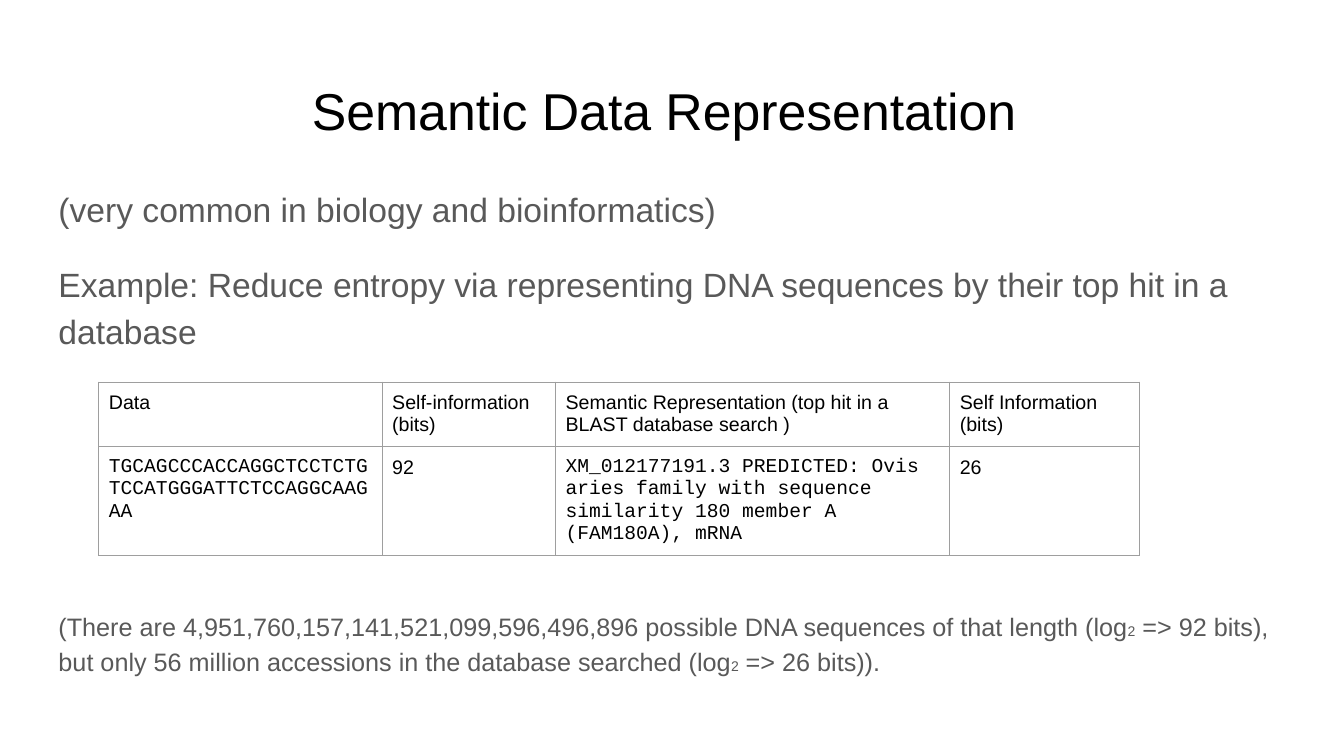
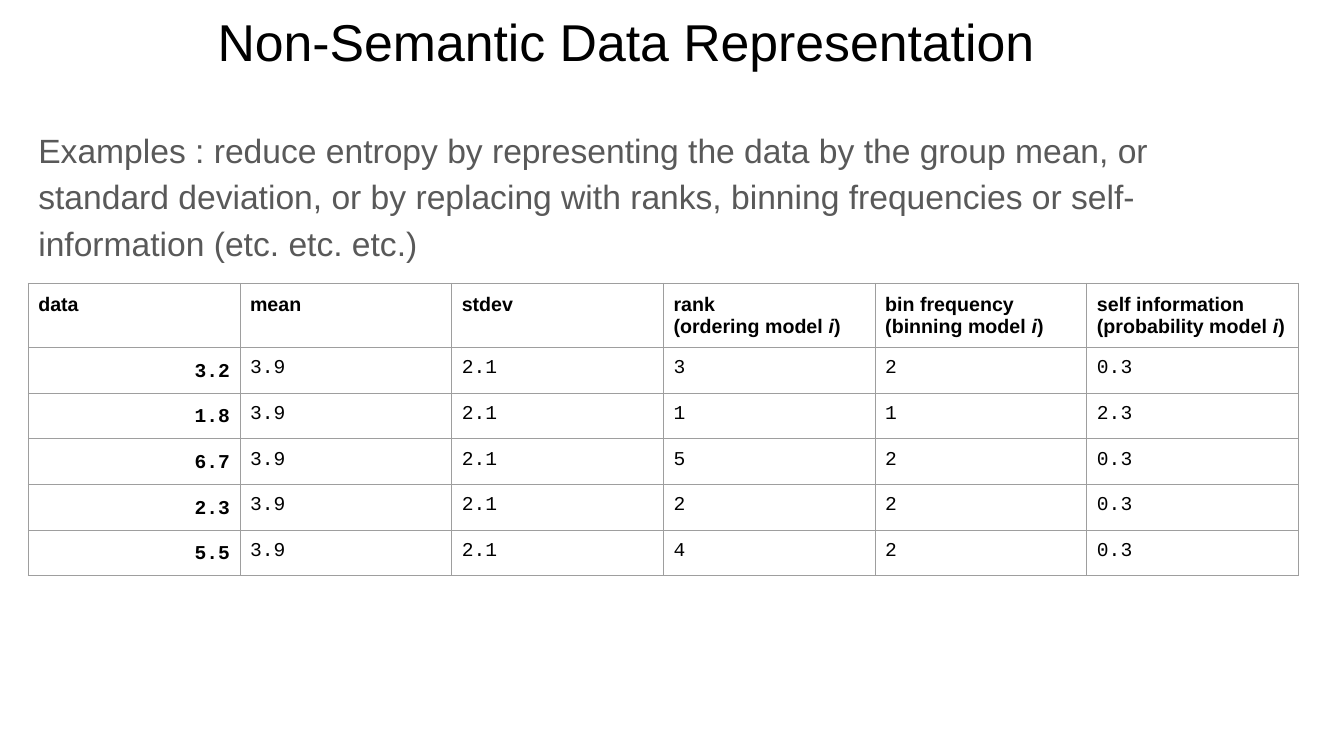
"""Build two slides on semantic and non-semantic data representation."""
from dataclasses import dataclass

from lxml import etree
from pptx import Presentation
from pptx.dml.color import RGBColor
from pptx.enum import text
from pptx.oxml import ns
from pptx.util import Inches, Pt


@dataclass(frozen=True)
class Theme:
    ink: RGBColor = RGBColor(0x00, 0x00, 0x00)
    muted: RGBColor = RGBColor(0x59, 0x59, 0x59)
    rule: str = "9E9E9E"
    sans: str = "Arial"
    mono: str = "Courier New"
    title: Pt = Pt(37)
    body: Pt = Pt(24)
    note: Pt = Pt(18)
    cell: Pt = Pt(14)
    subscript: Pt = Pt(10)


theme = Theme()
LEFT, CENTER, RIGHT = (text.PP_ALIGN.LEFT, text.PP_ALIGN.CENTER, text.PP_ALIGN.RIGHT)
title_font = {"size": theme.title, "name": theme.sans, "bold": False}
body_font = {"size": theme.body, "name": theme.sans}
cell_font = {"size": theme.cell, "name": theme.sans, "bold": False}
mono_font = cell_font | {"name": theme.mono}
bold_font = cell_font | {"bold": True}
italic = {"italic": True}
small = {"size": theme.subscript}
note = {"size": theme.note}


def write(frame, paragraphs, font, color, margin=0.1):
    """Write (runs, paragraph format) pairs, each run being (words, font changes)."""
    frame.word_wrap = True
    for side in ("left", "top", "right", "bottom"):
        setattr(frame, f"margin_{side}", Inches(margin))
    for index, (runs, layout) in enumerate(paragraphs):
        paragraph = frame.add_paragraph() if index else frame.paragraphs[0]
        props = paragraph._p.get_or_add_pPr()
        props.set("marL", "0")
        props.set("indent", "0")
        settings = {"alignment": LEFT, "space_before": Pt(0), "space_after": Pt(0)} | layout
        for key, value in settings.items():
            setattr(paragraph, key, value)
        etree.SubElement(props, ns.qn("a:buNone"))
        for words, changes in runs:
            run = paragraph.add_run()
            run.text = words
            for key, value in (font | changes).items():
                setattr(run.font, key, value)
            run.font.color.rgb = color


def add_grid(slide, left, top, widths, heights, rows):
    """Add a ruled table whose cells are (lines of runs, font, paragraph format)."""
    grid = slide.shapes.add_table(
        len(heights), len(widths), Inches(left), Inches(top),
        Inches(sum(widths)), Inches(sum(heights))).table
    grid.first_row = grid.horz_banding = False
    for column, width in zip(grid.columns, widths):
        column.width = Inches(width)
    for row, height, contents in zip(grid.rows, heights, rows):
        row.height = Inches(height)
        for cell, (lines, font, layout) in zip(row.cells, contents):
            write(cell.text_frame, [(runs, layout) for runs in lines], font, theme.ink)
            for side in ("left", "top", "right", "bottom"):
                setattr(cell, f"margin_{side}", Inches(0.1))
            props = cell._tc.get_or_add_tcPr()
            for edge in ("lnL", "lnR", "lnT", "lnB"):
                line = etree.SubElement(props, ns.qn(f"a:{edge}"), w=str(Pt(0.75)))
                paint = etree.SubElement(line, ns.qn("a:solidFill"))
                etree.SubElement(paint, ns.qn("a:srgbClr"), val=theme.rule)
            cell.fill.background()


deck = Presentation()
deck.slide_width, deck.slide_height = Inches(13.33), Inches(7.5)

spaced = {"line_spacing": 1.15}
pages = [
    {"margin": 0.13,
     "title": ("Semantic Data Representation ", (0.45, 0.65, 12.42, 0.83)),
     "body_box": (0.45, 1.68, 12.42, 5.32),
     "body": [
         ([("(very common in biology and bioinformatics)", {})], spaced),
         ([("Example: Reduce entropy via representing DNA sequences by their "
            "top hit in a database", {})], spaced | {"space_before": Pt(21)}),
         ([("(There are 4,951,760,157,141,521,099,596,496,896 possible DNA "
            "sequences of that length (log", note), ("2", small),
           (" => 92 bits), but only 56 million accessions in the database "
            "searched (log", note), ("2", small), (" => 26 bits)).", note)],
          spaced | {"space_before": Pt(183), "space_after": Pt(21)})]},
    {"margin": 0.1,
     "title": ("Non-Semantic Data Representation", (0, 0, 12.42, 0.53)),
     "body_box": (0.28, 1.13, 12.19, 1.59),
     "body": [
         ([("Examples : reduce entropy by representing the data by the group "
            "mean, or standard deviation, or by replacing with ranks, binning "
            "frequencies or self-information (etc. etc. etc.)", {})],
          spaced | {"space_after": Pt(21)})]},
]
slides = []
for page in pages:
    slide = deck.slides.add_slide(deck.slide_layouts[1])
    slides.append(slide)
    heading, heading_box = page["title"]
    parts = [
        (slide.shapes.title, heading_box, [([(heading, {})], {"alignment": CENTER})],
         title_font, theme.ink),
        (slide.placeholders[1], page["body_box"], page["body"], body_font, theme.muted),
    ]
    for holder, box, paragraphs, font, color in parts:
        holder.left, holder.top, holder.width, holder.height = map(Inches, box)
        holder.text_frame.auto_size = text.MSO_AUTO_SIZE.NONE
        holder.text_frame.vertical_anchor = text.MSO_ANCHOR.TOP
        write(holder.text_frame, paragraphs, font, color, page["margin"])

semantic_rows = [
    [(["Data"], cell_font),
     (["Self-information", "(bits)"], cell_font),
     (["Semantic Representation (top hit in a BLAST database search )"], cell_font),
     (["Self Information", "(bits)"], cell_font)],
    [(["TGCAGCCCACCAGGCTCCTCTGTCCATGGGATTCTCCAGGCAAGAA"], mono_font),
     (["92"], cell_font),
     (["XM_012177191.3 PREDICTED: Ovis aries family with sequence "
       "similarity 180 member A (FAM180A), mRNA"], mono_font),
     (["26"], cell_font)],
]
add_grid(slides[0], 0.98, 3.79, [2.81, 1.72, 3.91, 1.88], [0.63, 1.08],
         [[([[(line, {})] for line in lines], font, {}) for lines, font in row]
          for row in semantic_rows])

plain_heads = ["data", "mean", "stdev"]
model_heads = [("rank", "ordering"), ("bin frequency", "binning"),
               ("self information", "probability")]
header = [([[(name, {})]], bold_font, {}) for name in plain_heads]
header += [([[(name, {})], [(f"({model} model ", {}), ("i", italic), (")", {})]],
            bold_font, {}) for name, model in model_heads]
samples = [("3.2", "3", "2", "0.3"), ("1.8", "1", "1", "2.3"), ("6.7", "5", "2", "0.3"),
           ("2.3", "2", "2", "0.3"), ("5.5", "4", "2", "0.3")]
number_rows = [
    [([[(value, {"bold": True})]], mono_font, spaced | {"alignment": RIGHT})]
    + [([[(figure, {})]], mono_font, {}) for figure in ("3.9", "2.1", *derived)]
    for value, *derived in samples]
add_grid(slides[1], 0.28, 2.81, [2.1] * 6, [0.63] + [0.45] * len(samples),
         [header] + number_rows)

deck.save("out.pptx")
